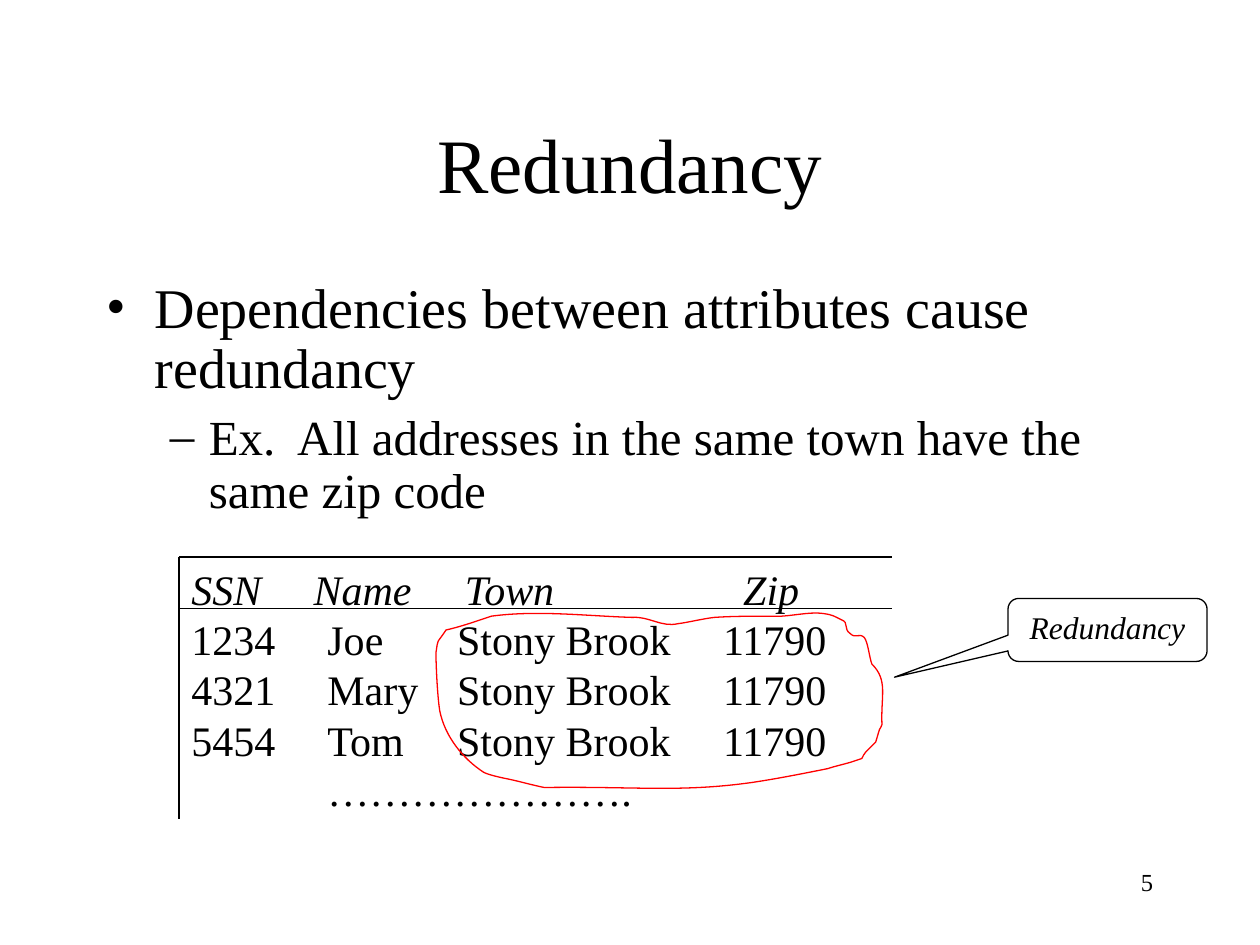
from pptx import Presentation
from pptx.dml.color import RGBColor
from pptx.enum.shapes import MSO_CONNECTOR as Line, MSO_SHAPE as Shape
from pptx.enum.text import MSO_ANCHOR as Anchor, PP_ALIGN as Align
from pptx.oxml.ns import qn
from pptx.util import Inches, Pt
from lxml.etree import SubElement as Sub

BLACK, RED = "000000", "FF0000"
FONT = "Times New Roman"
BULLETS = [
    ("Dependencies between attributes cause redundancy", "•", 32, 0.38, -0.38, 0),
    ("Ex.  All addresses in the same town have the same zip code", "–", 28, 0.81, -0.31, 7),
]
HEAD_TABS, ROW_TABS = (0.97, 2.17, 4.38), (1.08, 2.11, 4.22)
ROWS = [
    ("SSN", "Name", "Town", "Zip"),
    ("1234", "Joe", "Stony Brook", "11790"),
    ("4321", "Mary", "Stony Brook", "11790"),
    ("5454", "Tom", "Stony Brook", "11790"),
    ("", "…………………."),
]
START = (6.92, 5.27)
CURVES = [
    (6.9, 5.22, 6.89, 5.1, 6.86, 5.06), (6.82, 5.02, 6.79, 5.07, 6.75, 5.03),
    (6.69, 4.99, 6.74, 4.94, 6.68, 4.92), (6.62, 4.89, 6.61, 4.88, 6.54, 4.87),
    (6.42, 4.85, 6.25, 4.9, 6.13, 4.89), (5.98, 4.89, 5.81, 4.89, 5.67, 4.9),
    (5.58, 4.91, 5.46, 4.94, 5.38, 4.95), (5.25, 4.98, 5.15, 4.89, 5.02, 4.9),
    (4.67, 4.89, 4.27, 4.84, 3.9, 4.89), (3.78, 4.93, 3.67, 4.97, 3.54, 5),
    (3.46, 5.12, 3.48, 5.06, 3.46, 5.18), (3.46, 5.26, 3.47, 5.51, 3.49, 5.64),
    (3.53, 5.84, 3.67, 6.02, 3.84, 6.13), (3.88, 6.15, 3.97, 6.17, 4.02, 6.18),
    (4.12, 6.2, 4.22, 6.23, 4.32, 6.25), (5.05, 6.24, 5.4, 6.29, 5.97, 6.21),
    (6.17, 6.18, 6.37, 6.14, 6.57, 6.1), (6.63, 6.08, 6.68, 6.07, 6.75, 6.05),
    (6.78, 6.04, 6.84, 6.02, 6.84, 6.02), (6.85, 6, 6.86, 5.98, 6.87, 5.97),
    (6.9, 5.94, 6.95, 5.89, 6.95, 5.89), (6.96, 5.86, 6.97, 5.82, 6.98, 5.79),
    (6.99, 5.78, 7, 5.75, 7, 5.75), (6.99, 5.52, 7.05, 5.4, 6.92, 5.27),
]


def color(code):
    """Turn a hex string into a colour."""
    return RGBColor.from_string(code)


def place(item, box):
    """Set the position and size of a shape in inches."""
    for name, value in zip(("left", "top", "width", "height"), box):
        setattr(item, name, Inches(value))


def write(para, text, size, align=Align.LEFT, **extra):
    """Write one styled run into a paragraph."""
    para.alignment = align
    run = para.add_run()
    run.text = text
    for name, value in {"name": FONT, "size": Pt(size), **extra}.items():
        setattr(run.font, name, value)
    run.font.color.rgb = color(BLACK)


def add_box(slide, box, wrap=True):
    """Add a text box and return its frame."""
    frame = slide.shapes.add_textbox(*map(Inches, box)).text_frame
    frame.word_wrap = wrap
    return frame


def next_para(frame, index):
    """Return the first paragraph, or a new one after it."""
    return frame.add_paragraph() if index else frame.paragraphs[0]


def outline(item, code):
    """Give a shape or line a thin stroke."""
    item.line.color.rgb = color(code)
    item.line.width = Pt(0.75)


def add_title(slide, box):
    """Place and fill the title."""
    title = slide.shapes.title
    place(title, box)
    frame = title.text_frame
    frame.vertical_anchor = Anchor.MIDDLE
    write(frame.paragraphs[0], "Redundancy", 44, Align.CENTER)


def add_body(slide, box):
    """Add the bulleted text."""
    frame = add_box(slide, box)
    for index, (text, mark, size, left, hang, gap) in enumerate(BULLETS):
        para = next_para(frame, index)
        para.level = index
        para.line_spacing = 0.9
        para.space_before = Pt(gap)
        props = para._p.get_or_add_pPr()
        props.set("marL", str(Inches(left)))
        props.set("indent", str(Inches(hang)))
        Sub(Sub(props, qn("a:buClr")), qn("a:srgbClr"), val=BLACK)
        Sub(props, qn("a:buFont"), typeface=FONT)
        Sub(props, qn("a:buChar"), char=mark)
        write(para, text, size)


def add_rule(slide, *ends):
    """Draw a straight line without a shadow."""
    line = slide.shapes.add_connector(Line.STRAIGHT, *map(Inches, ends))
    outline(line, BLACK)
    Sub(line._element.spPr, qn("a:effectLst"))


def add_grid(slide, box):
    """Add the tabbed rows and their rules."""
    left, top, width, height = box
    frame = add_box(slide, box, wrap=False)
    for index, row in enumerate(ROWS):
        para = next_para(frame, index)
        stops = Sub(para._p.get_or_add_pPr(), qn("a:tabLst"))
        for stop in (ROW_TABS if index else HEAD_TABS)[:len(row) - 1]:
            Sub(stops, qn("a:tab"), pos=str(Inches(stop)), algn="l")
        write(para, "\t".join(row), 24, italic=not index)
    right = left + 5.66
    for level in (top + 0.41, top):
        add_rule(slide, left, level, right, level)
    add_rule(slide, left, top, left, top + 2.08)


def add_loop(slide):
    """Draw the red loop of cubic curves around the repeated values."""
    knots = [curve[i:i + 2] for curve in CURVES for i in (0, 2, 4)]
    start, *points = [tuple(round(100 * v) for v in knot) for knot in (START, *knots)]
    pen = slide.shapes.build_freeform(*start, scale=Inches(0.01))
    pen.add_line_segments(points, close=True)
    loop = pen.convert_to_shape()
    sides = list(loop._element.iter(qn("a:lnTo")))
    for index in range(0, len(sides), 3):
        bend = sides[index].makeelement(qn("a:cubicBezTo"))
        sides[index].addprevious(bend)
        for side in sides[index:index + 3]:
            bend.append(side[0])
            side.getparent().remove(side)
    loop.shadow.inherit = False
    loop.fill.background()
    outline(loop, RED)


def add_callout(slide, box):
    """Add the callout that names the problem."""
    note = slide.shapes.add_shape(Shape.ROUNDED_RECTANGULAR_CALLOUT, *map(Inches, box))
    for index, value in enumerate((-1.07, 0.75, 0.17)):
        note.adjustments[index] = value
    note.shadow.inherit = False
    note.fill.background()
    outline(note, BLACK)
    frame = note.text_frame
    frame.vertical_anchor = Anchor.TOP
    write(frame.paragraphs[0], "Redundancy", 18, Align.CENTER, italic=True)


def main():
    """Build and save the slide."""
    deck = Presentation()
    deck.slide_width, deck.slide_height = Inches(10), Inches(7.5)
    slide = deck.slides.add_slide(deck.slide_layouts[5])
    number = add_box(slide, (7.17, 6.83, 2.08, 0.5))
    write(number.paragraphs[0], "5", 14, Align.RIGHT)
    add_title(slide, (0.75, 0.67, 8.5, 1.25))
    add_body(slide, (0.75, 2.17, 8.5, 2.25))
    add_grid(slide, (1.42, 4.42, 5.28, 2.1))
    add_loop(slide)
    add_callout(slide, (8, 4.75, 1.58, 0.5))
    deck.save("out.pptx")


if __name__ == "__main__":
    main()
